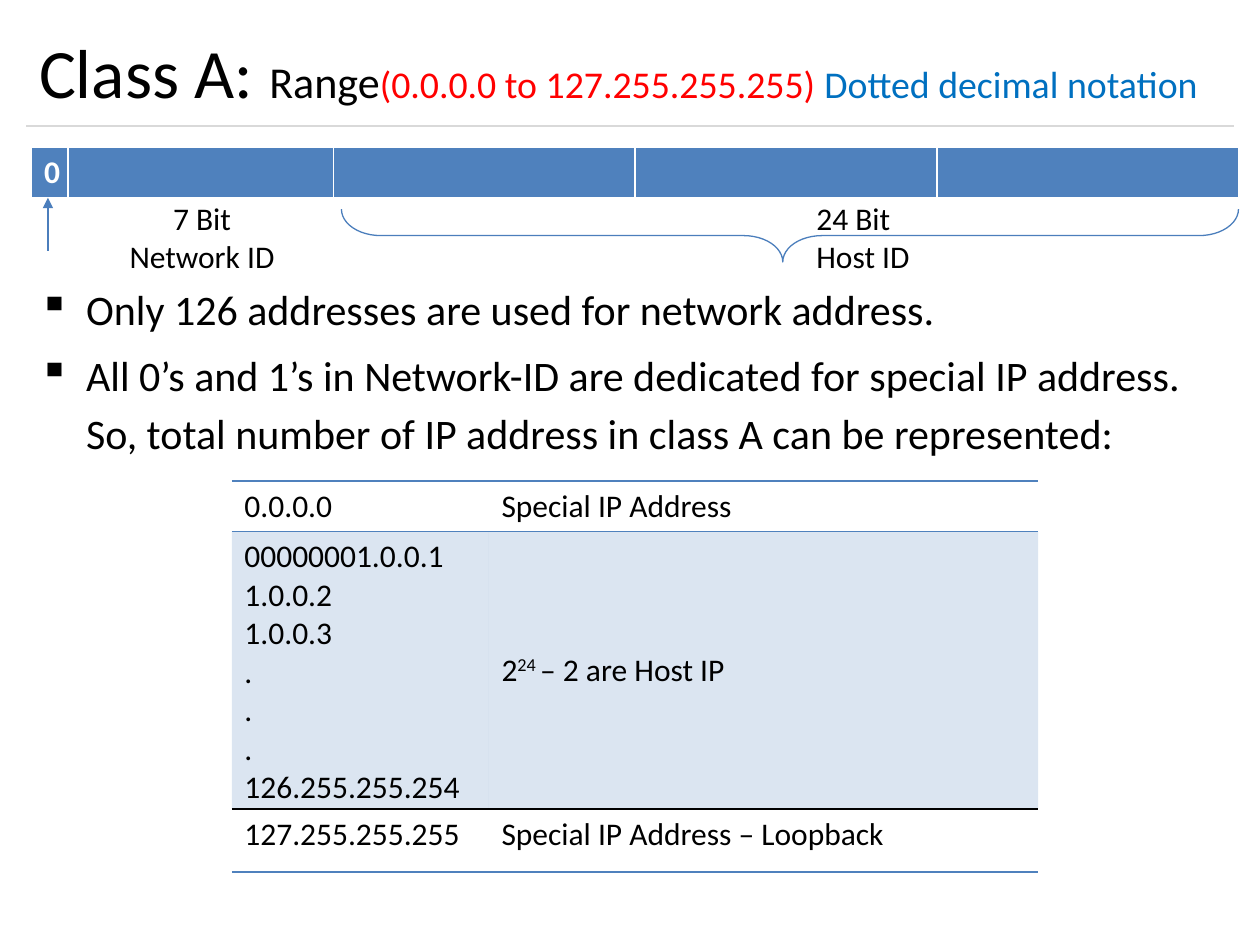
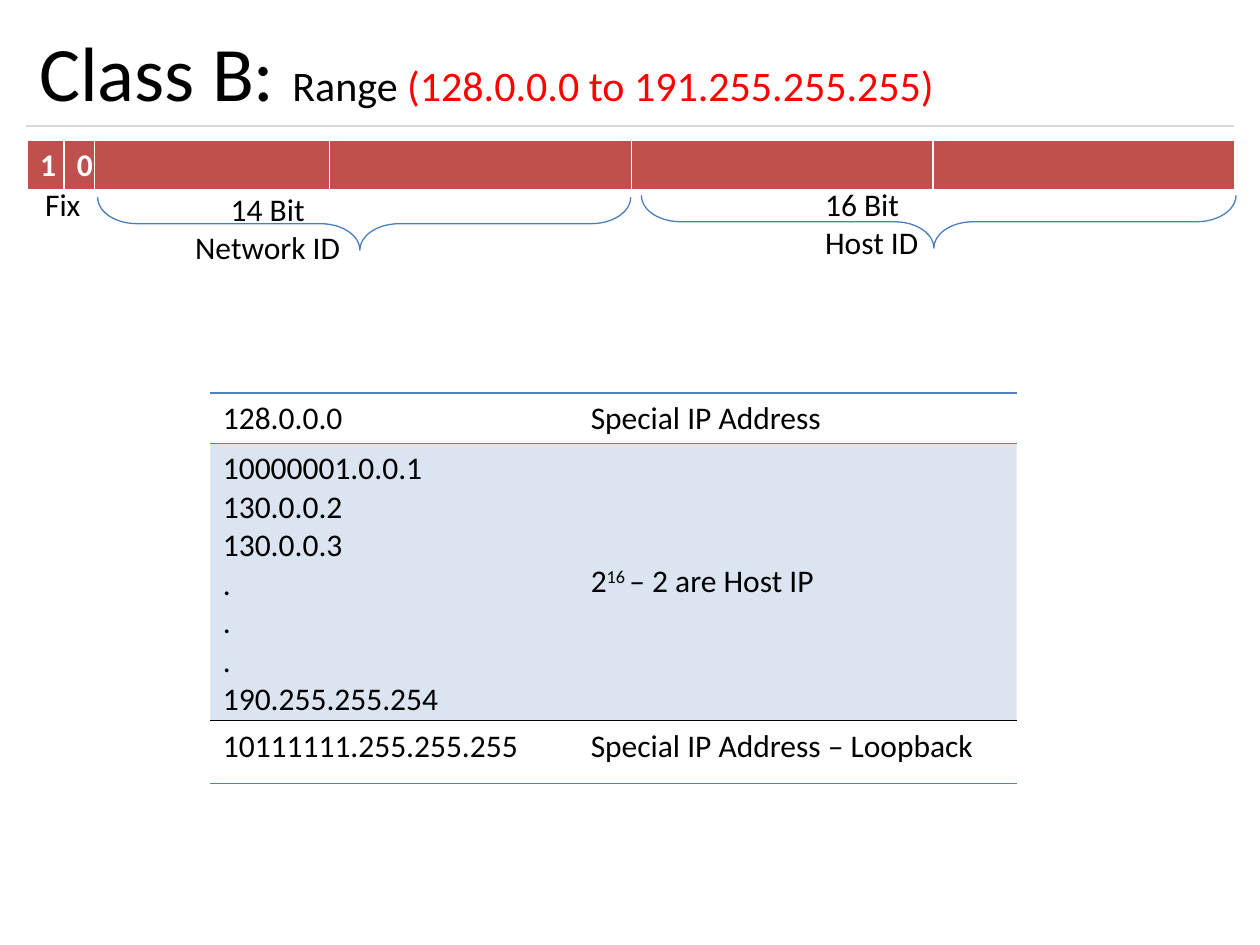
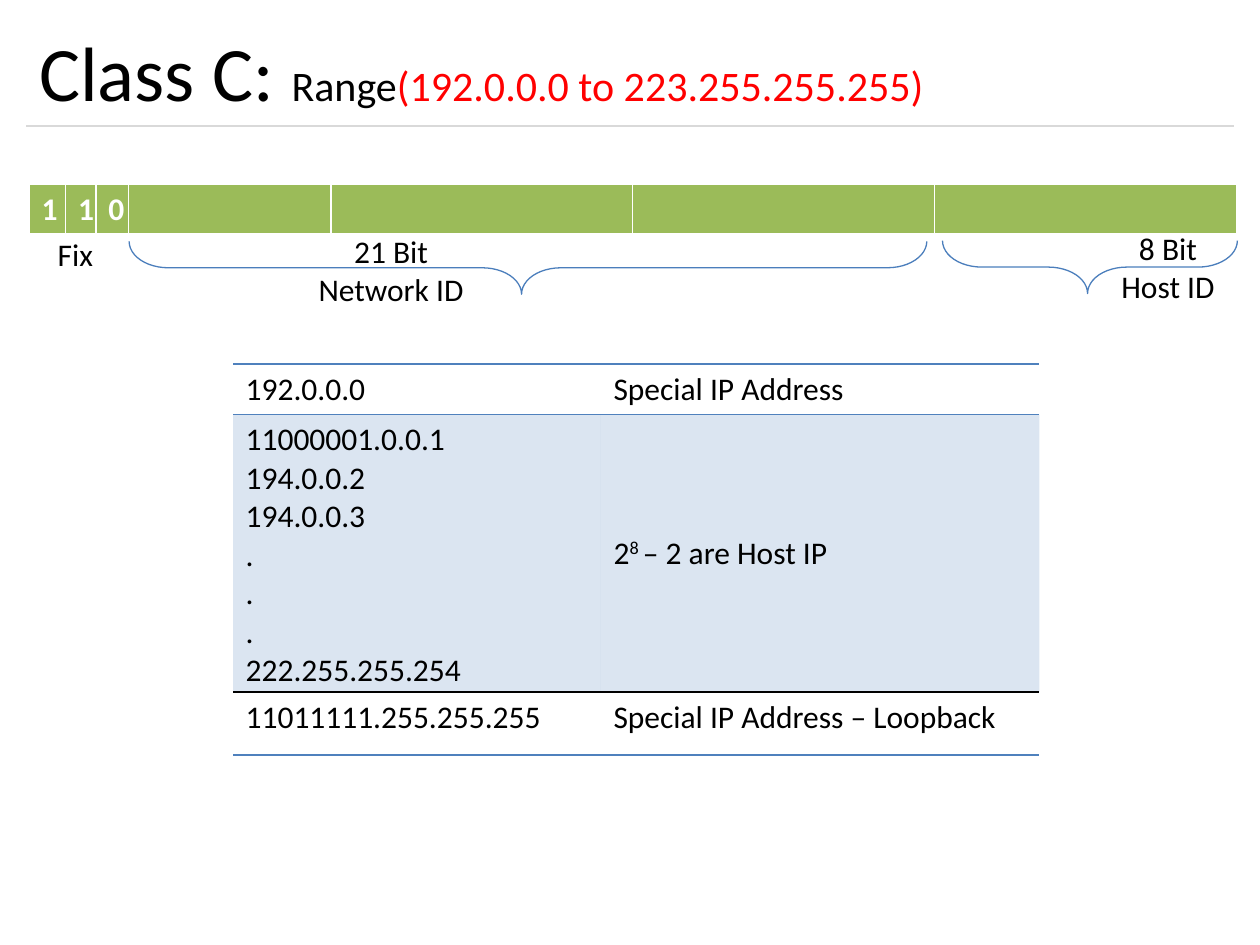
from dataclasses import dataclass
from typing import Optional

from lxml import etree
from pptx import Presentation
from pptx import util as u
from pptx.dml.color import RGBColor
from pptx.enum import shapes, text
from pptx.oxml.ns import qn

Pt = u.Pt
FONT = "Calibri"
COLORS = {
    "black": "000000",
    "white": "FFFFFF",
    "red": "FF0000",
    "notation": "0070C0",
    "rule": "D9D9D9",
    "outline": "4B7EBC",
    "class_a": "4F81BD",
    "class_b": "C0504D",
    "class_c": "9BBB59",
}
MARGIN, CONTENT_WIDTH = 15.1, 689.8
OCTET_WIDTH, BAR_HEIGHT = 172.5, 29.5
BRACE_HEIGHT = 30.2
TABLE_WIDTH, ROW_HEIGHTS = 460.8, (28.8, 158.4, 36)
NO_GRID_STYLE = "{2D5ABB26-0587-4C30-8999-92F81FD0307C}"
LEFT, CENTER = text.PP_ALIGN.LEFT, text.PP_ALIGN.CENTER


@dataclass(frozen=True)
class Span:
    content: str
    size: float = 18
    color: str = "black"
    bold: bool = False
    superscript: bool = False


@dataclass(frozen=True)
class Label:
    content: str
    left: float
    top: float
    width: float
    height: float = 51.1
    align: text.PP_ALIGN = CENTER


@dataclass(frozen=True)
class Brace:
    left: float
    top: float
    width: float


@dataclass(frozen=True)
class BitBar:
    left: float
    top: float
    color: str
    fixed_bits: str
    bit_widths: tuple[float, ...]


@dataclass(frozen=True)
class AddressTable:
    left: float
    top: float
    first_column: float
    first: str
    hosts: tuple[str, str, str, str]
    last: str
    host_bits: str


@dataclass(frozen=True)
class AddressClass:
    title: tuple[Span, ...]
    bar: BitBar
    labels: tuple[Label, ...]
    braces: tuple[Brace, ...]
    table: AddressTable
    bullets: tuple[str, ...] = ()
    arrow: Optional[tuple[float, float, float]] = None


CLASSES = (
    AddressClass(
        title=(
            Span("Class A: ", 39.6),
            Span("Range", 25.2),
            Span("(0.0.0.0 to 127.255.255.255) ", 21.6, "red"),
            Span("Dotted decimal notation", 21.6, "notation"),
        ),
        bar=BitBar(18, 84.2, "class_a", "0", (20.9,)),
        labels=(
            Label("7 Bit Network ID", 66.2, 110.2, 98.6),
            Label("24 Bit Host ID", 459.4, 110.2, 80.6, align=LEFT),
        ),
        braces=(Brace(195.1, 119.5, 512.6),),
        table=AddressTable(
            132.5, 275, 146.9, "0.0.0.0",
            ("00000001.0.0.1", "1.0.0.2", "1.0.0.3", "126.255.255.254"),
            "127.255.255.255", "24",
        ),
        bullets=(
            "Only 126 addresses are used for network address.",
            "All 0’s and 1’s in Network-ID are dedicated for special IP address. "
            "So, total number of IP address in class A can be represented:",
        ),
        arrow=(27.4, 143.3, 113),
    ),
    AddressClass(
        title=(
            Span("Class B: ", 44),
            Span("Range ", 24),
            Span("(128.0.0.0 to 191.255.255.255)", 24, "red"),
        ),
        bar=BitBar(15.8, 79.9, "class_b", "10", (20.9, 17.3)),
        labels=(
            Label("Fix", 18.7, 102.2, 38.9, 30, LEFT),
            Label("14 Bit Network ID", 103.7, 105.1, 98.6),
            Label("16 Bit Host ID", 464.4, 102.2, 80.6, align=LEFT),
        ),
        braces=(Brace(55.8, 112.7, 304.6), Brace(366.5, 111.6, 339.8)),
        table=AddressTable(
            120.2, 224.6, 210.2, "128.0.0.0",
            ("10000001.0.0.1", "130.0.0.2", "130.0.0.3", "190.255.255.254"),
            "10111111.255.255.255", "16",
        ),
    ),
    AddressClass(
        title=(
            Span("Class C: ", 44),
            Span("Range", 24),
            Span("(192.0.0.0 to 223.255.255.255)", 24, "red"),
        ),
        bar=BitBar(16.6, 105.1, "class_c", "110", (20.9, 17.3, 18.7)),
        labels=(
            Label("Fix", 25.9, 131, 38.9, 30, LEFT),
            Label("21 Bit Network ID", 174.2, 128.9, 98.6),
            Label("8 Bit Host ID", 627.1, 127.4, 80.6),
        ),
        braces=(Brace(73.8, 137.9, 455.8), Brace(538.6, 137.5, 168.5)),
        table=AddressTable(
            133.2, 208.1, 210.2, "192.0.0.0",
            ("11000001.0.0.1", "194.0.0.2", "194.0.0.3", "222.255.255.254"),
            "11011111.255.255.255", "8",
        ),
    ),
)


def rgb(color: str) -> RGBColor:
    return RGBColor.from_string(COLORS[color])


def add_span(paragraph, span: Span) -> None:
    run = paragraph.add_run()
    run.text = span.content
    run.font.name = FONT
    run.font.size = Pt(span.size)
    run.font.bold = span.bold
    run.font.color.rgb = rgb(span.color)
    if span.superscript:
        run.font._element.set("baseline", "30000")


def write_lines(frame, lines: list[tuple[Span, ...]], align=LEFT) -> None:
    for index, spans in enumerate(lines):
        paragraph = frame.add_paragraph() if index else frame.paragraphs[0]
        paragraph.alignment = align
        for span in spans:
            add_span(paragraph, span)


def add_title(slide, spans: tuple[Span, ...]) -> None:
    title = slide.shapes.title
    title.left, title.top = Pt(MARGIN), Pt(8.6)
    title.width, title.height = Pt(CONTENT_WIDTH), Pt(63.4)
    frame = title.text_frame
    frame.auto_size = text.MSO_AUTO_SIZE.NONE
    frame.vertical_anchor = text.MSO_ANCHOR.MIDDLE
    write_lines(frame, [spans])


def add_line(slide, start: tuple[float, float], end: tuple[float, float], color: str):
    connector = slide.shapes.add_connector(
        shapes.MSO_CONNECTOR.STRAIGHT, *(Pt(value) for value in start + end))
    connector.line.color.rgb = rgb(color)
    connector.line.width = Pt(0.75)
    etree.SubElement(connector._element.spPr, qn("a:effectLst"))
    return connector


def add_arrow(slide, x: float, bottom: float, top: float) -> None:
    arrow = add_line(slide, (x, bottom), (x, top), "outline")
    etree.SubElement(arrow.line._get_or_add_ln(), qn("a:tailEnd"), type="triangle")


def add_bullets(slide, bullets: tuple[str, ...]) -> None:
    box = slide.shapes.add_textbox(Pt(MARGIN), Pt(154.6), Pt(CONTENT_WIDTH), Pt(112))
    frame = box.text_frame
    frame.word_wrap = True
    write_lines(frame, [(Span(bullet, 24),) for bullet in bullets])
    for paragraph in frame.paragraphs:
        paragraph.line_spacing = 1.14
        paragraph.space_before = Pt(4.8)
        properties = paragraph._p.get_or_add_pPr()
        properties.set("marL", str(Pt(27)))
        properties.set("indent", str(-Pt(27)))
        etree.SubElement(properties, qn("a:buChar"), char="▪")


def add_label(slide, label: Label) -> None:
    box = slide.shapes.add_textbox(
        Pt(label.left), Pt(label.top), Pt(label.width), Pt(label.height))
    frame = box.text_frame
    frame.word_wrap = True
    frame.auto_size = text.MSO_AUTO_SIZE.SHAPE_TO_FIT_TEXT
    write_lines(frame, [(Span(label.content),)], label.align)


def add_brace(slide, brace: Brace) -> None:
    offset = (brace.width - BRACE_HEIGHT) / 2
    shape = slide.shapes.add_shape(
        shapes.MSO_SHAPE.LEFT_BRACE, Pt(brace.left + offset), Pt(brace.top - offset),
        Pt(BRACE_HEIGHT), Pt(brace.width))
    shape.rotation = 270
    shape.adjustments[0], shape.adjustments[1] = 0.744, 0.492
    shape.shadow.inherit = False
    shape.fill.background()
    shape.line.color.rgb = rgb("outline")
    shape.line.width = Pt(0.75)


def add_plain_table(slide, left: float, top: float, widths: list[float], heights):
    frame = slide.shapes.add_table(
        len(heights), len(widths), Pt(left), Pt(top), Pt(sum(widths)), Pt(sum(heights)))
    table = frame.table
    table.first_row = table.horz_banding = False
    table._tbl.tblPr.find(qn("a:tableStyleId")).text = NO_GRID_STYLE
    for column, width in zip(table.columns, widths):
        column.width = Pt(width)
    for row, height in zip(table.rows, heights):
        row.height = Pt(height)
    return table


def set_borders(cell, borders: dict[str, tuple[str, float]]) -> None:
    properties = cell._tc.get_or_add_tcPr()
    for side, (color, width) in borders.items():
        line = etree.SubElement(properties, qn(f"a:ln{side}"), w=str(Pt(width)))
        fill = etree.SubElement(line, qn("a:solidFill"))
        etree.SubElement(fill, qn("a:srgbClr"), val=COLORS[color])


def set_fill(cell, color: str, opacity: int = 100) -> None:
    cell.fill.solid()
    cell.fill.fore_color.rgb = rgb(color)
    if opacity < 100:
        value = cell._tc.tcPr.find(f"{qn('a:solidFill')}/{qn('a:srgbClr')}")
        etree.SubElement(value, qn("a:alpha"), val=str(opacity * 1000))


def add_bit_bar(slide, bar: BitBar) -> None:
    rest = OCTET_WIDTH - sum(bar.bit_widths)
    widths = [*bar.bit_widths, rest, *[OCTET_WIDTH] * 3]
    table = add_plain_table(slide, bar.left, bar.top, widths, (BAR_HEIGHT,))
    for cell in table.iter_cells():
        set_borders(cell, {side: ("white", 3 if side == "B" else 1) for side in "LRTB"})
        set_fill(cell, bar.color)
    for index, bit in enumerate(bar.fixed_bits):
        write_lines(table.cell(0, index).text_frame,
                    [(Span(bit, color="white", bold=True),)], CENTER if index else LEFT)


def add_address_table(slide, content: AddressTable) -> None:
    widths = [content.first_column, TABLE_WIDTH - content.first_column]
    table = add_plain_table(slide, content.left, content.top, widths, ROW_HEIGHTS)
    hosts = (*content.hosts[:3], *"...", content.hosts[3])
    host_count = (Span("2"), Span(f"{content.host_bits} ", superscript=True),
                  Span("– 2 are Host IP"))
    rows = (
        ([(Span(content.first),)], [(Span("Special IP Address"),)]),
        ([(Span(host),) for host in hosts], [host_count]),
        ([(Span(content.last),)], [(Span("Special IP Address – Loopback"),)]),
    )
    edges = (("class_a", "class_a"), ("class_a", "black"), ("black", "class_a"))
    for row_index, (row, (upper, lower)) in enumerate(zip(rows, edges)):
        for column_index, lines in enumerate(row):
            cell = table.cell(row_index, column_index)
            set_borders(cell, {"T": (upper, 1), "B": (lower, 1)})
            write_lines(cell.text_frame, lines)
            if row_index == 1:
                set_fill(cell, "class_a", 20)
    table.cell(1, 1).vertical_anchor = text.MSO_ANCHOR.MIDDLE


def add_class_slide(presentation, address_class: AddressClass) -> None:
    slide = presentation.slides.add_slide(presentation.slide_layouts[5])
    add_line(slide, (MARGIN, 72), (MARGIN + CONTENT_WIDTH, 72), "rule")
    add_title(slide, address_class.title)
    if address_class.bullets:
        add_bullets(slide, address_class.bullets)
    add_bit_bar(slide, address_class.bar)
    if address_class.arrow:
        add_arrow(slide, *address_class.arrow)
    for label in address_class.labels:
        add_label(slide, label)
    for brace in address_class.braces:
        add_brace(slide, brace)
    add_address_table(slide, address_class.table)


def main() -> None:
    presentation = Presentation()
    presentation.slide_width, presentation.slide_height = Pt(720), Pt(540)
    for address_class in CLASSES:
        add_class_slide(presentation, address_class)
    presentation.save("out.pptx")


if __name__ == "__main__":
    main()
